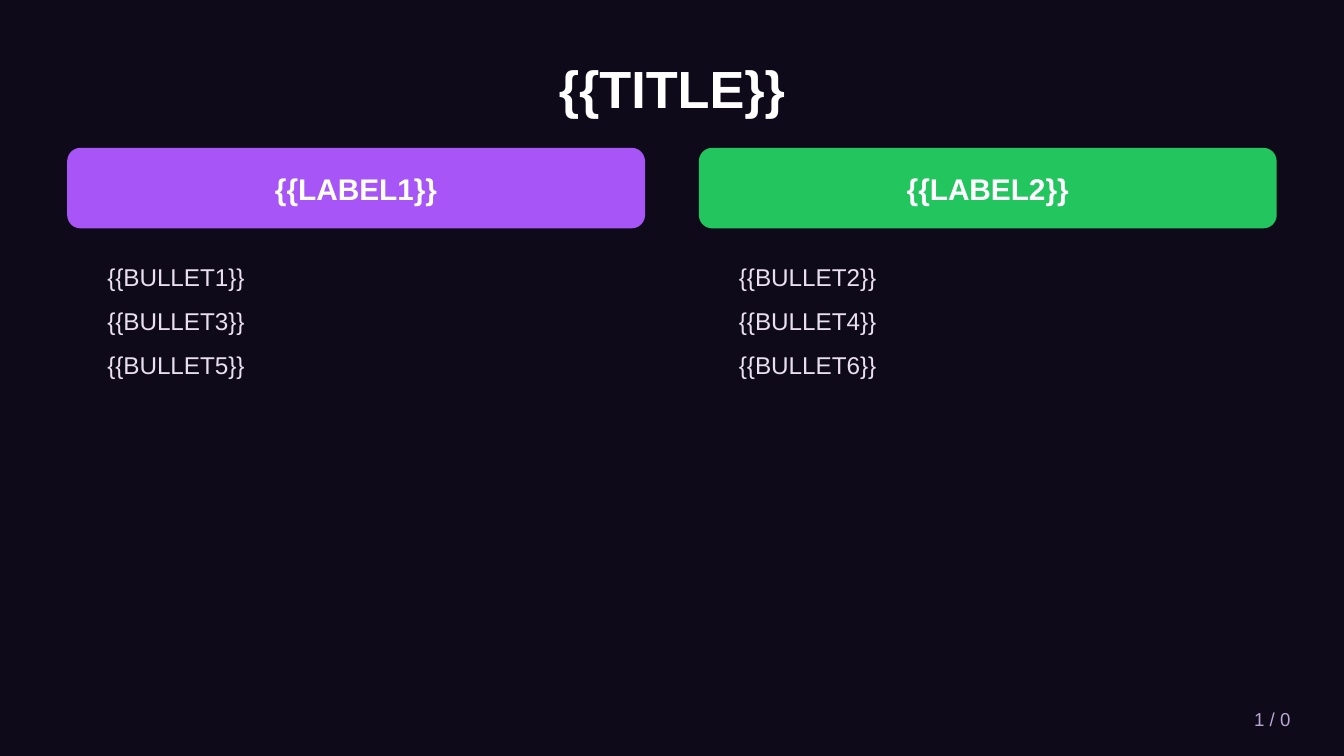
from dataclasses import dataclass

from pptx import Presentation
from pptx import util as u
from pptx.dml.color import RGBColor
from pptx.enum import shapes, text


@dataclass(frozen=True)
class Theme:
    font: str = "Arial"
    background: str = "0F0A1A"
    strong: str = "FFFFFF"
    body: str = "E8E0F0"
    muted: str = "B8A8D0"
    title_size: int = 28
    label_size: int = 16
    body_size: int = 13
    page_size: int = 10


THEME = Theme()
WIDTH = 10
HEIGHT = WIDTH * 9 / 16
MARGIN = 0.5
GUTTER = 0.4
INDENT = 0.2
COLUMNS = (
    ("{{LABEL1}}", "A855F7", ("{{BULLET1}}", "{{BULLET3}}", "{{BULLET5}}")),
    ("{{LABEL2}}", "22C55E", ("{{BULLET2}}", "{{BULLET4}}", "{{BULLET6}}")),
)
COLUMN_WIDTH = (WIDTH - 2 * MARGIN - GUTTER * (len(COLUMNS) - 1)) / len(COLUMNS)


def inches(*lengths):
    return [u.Inches(length) for length in lengths]


def write(frame, lines, size, color, bold=False, align=text.PP_ALIGN.LEFT,
          anchor=text.MSO_ANCHOR.MIDDLE, space_after=0):
    frame.word_wrap = True
    frame.auto_size = text.MSO_AUTO_SIZE.NONE
    frame.vertical_anchor = anchor
    for index, line in enumerate(lines):
        paragraph = frame.add_paragraph() if index else frame.paragraphs[0]
        paragraph.alignment = align
        paragraph.space_before = u.Pt(0)
        paragraph.space_after = u.Pt(space_after)
        run = paragraph.add_run()
        run.text = line
        run.font.name = THEME.font
        run.font.size = u.Pt(size)
        run.font.bold = bold
        run.font.color.rgb = RGBColor.from_string(color)


def set_title(slide, wording):
    title = slide.shapes.title
    title.left, title.top, title.width, title.height = inches(
        MARGIN, 0.3, WIDTH - 2 * MARGIN, 0.7)
    write(title.text_frame, [wording], THEME.title_size, THEME.strong,
          bold=True, align=text.PP_ALIGN.CENTER)


def add_label(slide, left, wording, color):
    label = slide.shapes.add_shape(
        shapes.MSO_SHAPE.ROUNDED_RECTANGLE, *inches(left, 1.1, COLUMN_WIDTH, 0.6))
    label.shadow.inherit = False
    label.fill.solid()
    label.fill.fore_color.rgb = RGBColor.from_string(color)
    label.line.fill.background()
    write(label.text_frame, [wording], THEME.label_size, THEME.strong,
          bold=True, align=text.PP_ALIGN.CENTER)


def add_points(slide, left, points):
    box = slide.shapes.add_textbox(
        *inches(left + INDENT, 1.9, COLUMN_WIDTH - 2 * INDENT, 2.8))
    write(box.text_frame, points, THEME.body_size, THEME.body,
          anchor=text.MSO_ANCHOR.TOP, space_after=8)


def add_page_number(slide, wording):
    box = slide.shapes.add_textbox(*inches(8.5, 5.2, 1.2, 0.3))
    write(box.text_frame, [wording], THEME.page_size, THEME.muted,
          align=text.PP_ALIGN.RIGHT)


def main():
    deck = Presentation()
    deck.slide_width, deck.slide_height = inches(WIDTH, HEIGHT)
    slide = deck.slides.add_slide(deck.slide_layouts.get_by_name("Title Only"))
    slide.background.fill.solid()
    slide.background.fill.fore_color.rgb = RGBColor.from_string(THEME.background)

    set_title(slide, "{{TITLE}}")
    for index, (label, color, points) in enumerate(COLUMNS):
        left = MARGIN + index * (COLUMN_WIDTH + GUTTER)
        add_label(slide, left, label, color)
        add_points(slide, left, points)
    add_page_number(slide, "1 / 0")
    deck.save("out.pptx")


if __name__ == "__main__":
    main()
